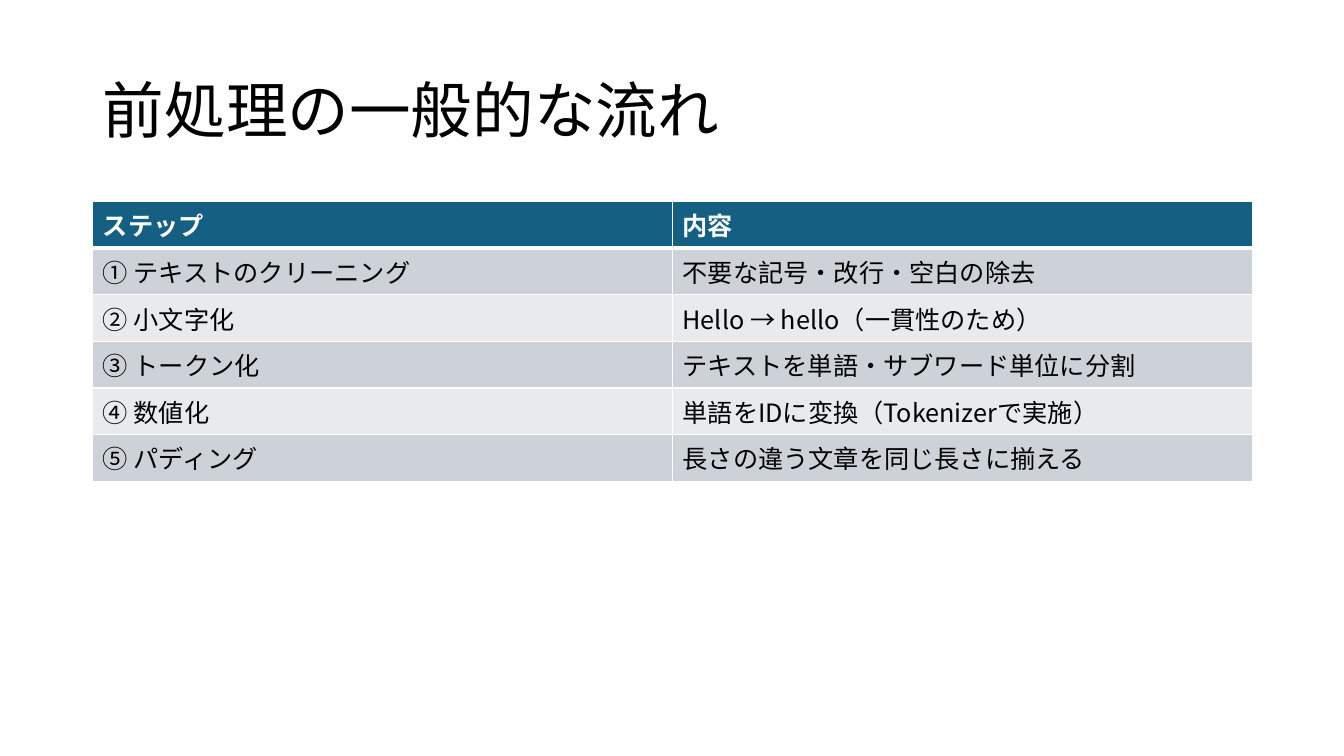
from lxml import etree
from pptx import Presentation
from pptx.dml import color
from pptx.enum import text
from pptx.oxml import ns
from pptx.util import Inches, Pt

FONT = "Noto Sans CJK JP"
BLACK, WHITE, HEADER = "000000", "FFFFFF", "156082"
BANDS = ("CCD2D8", "E8EAED")
STEPS = [
    ("ステップ", "内容"),
    ("① テキストのクリーニング", "不要な記号・改行・空白の除去"),
    ("② 小文字化", "Hello → hello（一貫性のため）"),
    ("③ トークン化", "テキストを単語・サブワード単位に分割"),
    ("④ 数値化", "単語をIDに変換（Tokenizerで実施）"),
    ("⑤ パディング", "長さの違う文章を同じ長さに揃える"),
]


def rgb(value):
    return color.RGBColor.from_string(value)


class SlideBuilder:
    def __init__(self, prs, font):
        self.s = prs.slides.add_slide(prs.slide_layouts[5])
        self.font = font

    def add_text(self, tf, content, size, hue, bold=False):
        p = tf.paragraphs[0]
        p.alignment = text.PP_ALIGN.LEFT
        r = p.add_run()
        r.text = content
        style = {"name": self.font, "size": Pt(size), "bold": bold}
        for name, value in style.items():
            setattr(r.font, name, value)
        r.font.color.rgb = rgb(hue)
        east_asian = etree.SubElement(r.font._element, ns.qn("a:ea"))
        east_asian.set("typeface", self.font)
        return p

    def title(self, content, left, top, width, height):
        sp = self.s.shapes.title
        box = {"left": left, "top": top, "width": width, "height": height}
        for name, value in box.items():
            setattr(sp, name, Inches(value))
        tf = sp.text_frame
        frame = {"word_wrap": True, "auto_size": text.MSO_AUTO_SIZE.NONE,
                 "vertical_anchor": text.MSO_ANCHOR.MIDDLE}
        for name, value in frame.items():
            setattr(tf, name, value)
        self.add_text(tf, content, 44, BLACK).line_spacing = 0.9

    def borders(self, cell, **widths):
        """Draw white cell edges; widths are points keyed by L, R, T and B."""
        props = cell._tc.get_or_add_tcPr()
        for index, (side, width) in enumerate(widths.items()):
            line = etree.Element(ns.qn(f"a:ln{side}"), w=str(Pt(width)))
            fill = etree.SubElement(line, ns.qn("a:solidFill"))
            etree.SubElement(fill, ns.qn("a:srgbClr"), val=WHITE)
            props.insert(index, line)

    def table(self, rows, left, top, width, row_height):
        """Build a table with a header row and alternating body bands."""
        frame = self.s.shapes.add_table(
            len(rows), len(rows[0]), Inches(left), Inches(top),
            Inches(width), Inches(row_height * len(rows)))
        for i, row in enumerate(rows):
            header = i == 0
            for j, content in enumerate(row):
                cell = frame.table.cell(i, j)
                cell.vertical_anchor = text.MSO_ANCHOR.MIDDLE
                cell.fill.solid()
                cell.fill.fore_color.rgb = rgb(HEADER if header else BANDS[(i - 1) % 2])
                self.borders(cell, L=1, R=1, T=3 if i == 1 else 1, B=3 if header else 1)
                self.add_text(cell.text_frame, content, 18, WHITE if header else BLACK, header)


def main():
    prs = Presentation()
    prs.slide_width, prs.slide_height = Inches(13.33), Inches(7.5)
    slide = SlideBuilder(prs, FONT)
    slide.title("前処理の一般的な流れ", 0.92, 0.4, 11.5, 1.45)
    slide.table(STEPS, 0.92, 2, 11.5, 0.41)
    prs.save("out.pptx")


if __name__ == "__main__":
    main()
